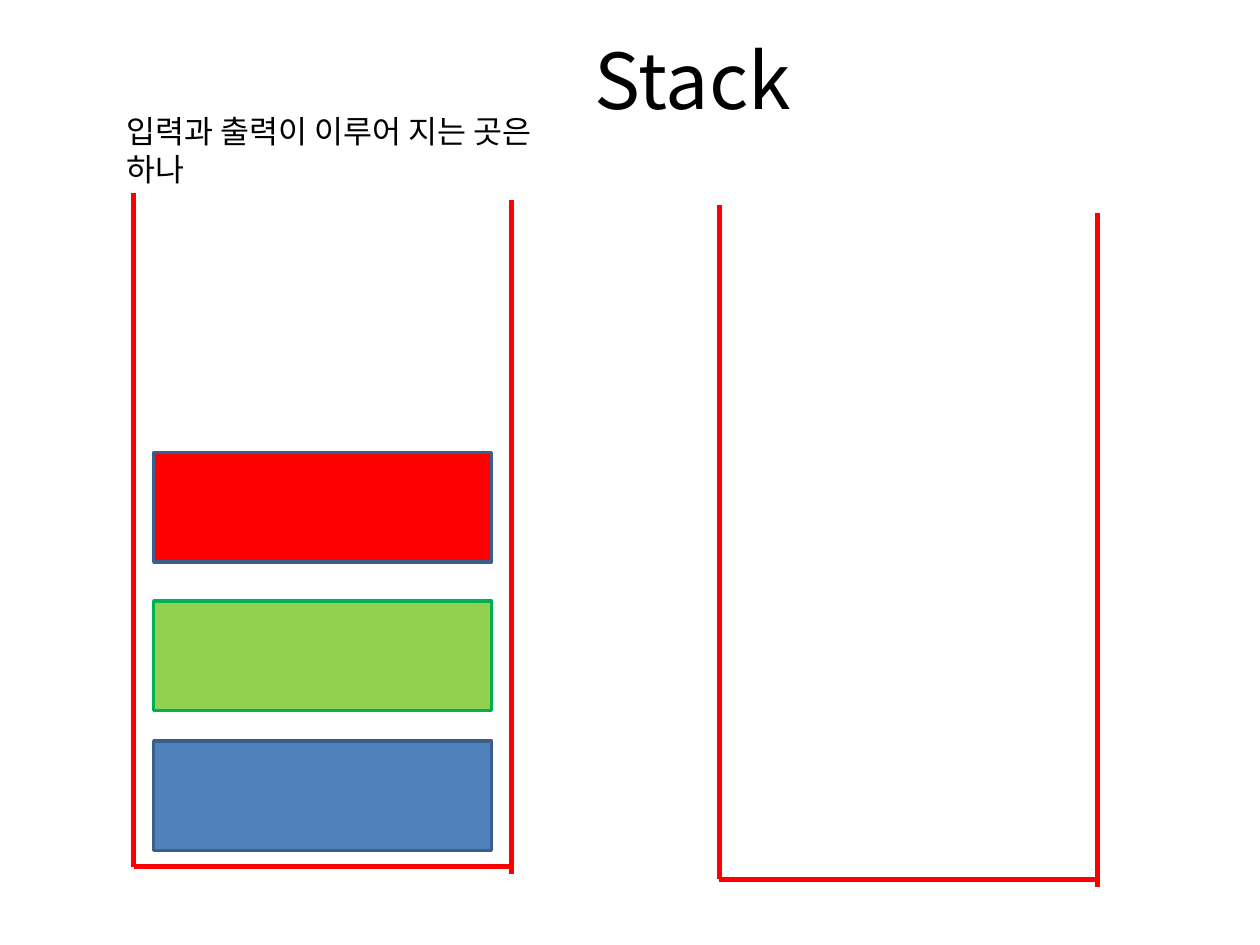
from lxml import etree
from pptx import Presentation
from pptx.dml.color import RGBColor
from pptx.enum.shapes import MSO_CONNECTOR, MSO_SHAPE
from pptx.enum.text import MSO_ANCHOR, PP_ALIGN
from pptx.oxml.ns import qn
from pptx.util import Inches, Pt

RECTANGLE = MSO_SHAPE.RECTANGLE
STRAIGHT = MSO_CONNECTOR.STRAIGHT
TOP, MIDDLE = MSO_ANCHOR.TOP, MSO_ANCHOR.MIDDLE
LEFT, CENTER = PP_ALIGN.LEFT, PP_ALIGN.CENTER

BLACK = RGBColor(0x00, 0x00, 0x00)
RED = RGBColor(0xFF, 0x00, 0x00)
BLUE = RGBColor(0x4F, 0x81, 0xBD)
DARK_BLUE = RGBColor(0x3A, 0x5F, 0x8C)
LIME = RGBColor(0x92, 0xD0, 0x50)
GREEN = RGBColor(0x00, 0xB0, 0x50)


class StackSlide:
    """Lengths are columns and rows of a 10 by 7.5 grid."""

    font_name = "Noto Sans CJK KR"
    cell = Inches(1)
    wall_width = Pt(3)
    block_border = Pt(2)

    def __init__(self, presentation):
        self.slide = presentation.slides.add_slide(presentation.slide_layouts[6])

    def grid(self, *lengths):
        return [round(length * self.cell) for length in lengths]

    def text(self, wording, box, size, align=LEFT, anchor=TOP):
        frame = self.slide.shapes.add_textbox(*self.grid(*box)).text_frame
        frame.word_wrap = True
        frame.vertical_anchor = anchor
        frame.text = wording
        paragraph = frame.paragraphs[0]
        paragraph.alignment = align
        run = paragraph.runs[0]
        run.font.size = Pt(size)
        run.font.color.rgb = BLACK
        run.font.name = self.font_name
        # Korean glyphs take the East Asian typeface
        east_asian = etree.SubElement(run.font._element, qn("a:ea"))
        east_asian.set("typeface", self.font_name)

    def line(self, x1, y1, x2, y2):
        wall = self.slide.shapes.add_connector(STRAIGHT, *self.grid(x1, y1, x2, y2))
        wall.line.color.rgb = RED
        wall.line.width = self.wall_width
        etree.SubElement(wall._element.spPr, qn("a:effectLst"))

    def container(self, left, top, width=3, height=5.35, right_drop=0.06):
        """Open-topped stack whose right wall sits slightly lower."""
        right, bottom = left + width, top + height
        self.line(left, top, left, bottom)
        self.line(left, bottom, right, bottom)
        self.line(right, top + right_drop, right, bottom + right_drop)

    def block(self, top, fill, border, left=1.22, width=2.68, height=0.87):
        block = self.slide.shapes.add_shape(
            RECTANGLE, *self.grid(left, top, width, height))
        block.shadow.inherit = False
        block.fill.solid()
        block.fill.fore_color.rgb = fill
        block.line.color.rgb = border
        block.line.width = self.block_border


def main():
    presentation = Presentation()
    presentation.slide_width, presentation.slide_height = Inches(10), Inches(7.5)
    stack = StackSlide(presentation)

    # Title
    stack.text("Stack", (1, 0, 9, 1.25), 44, CENTER, MIDDLE)

    # Filled stack, from the bottom block up
    stack.container(1.06, 1.53)
    for top, fill, border in (
        (5.88, BLUE, DARK_BLUE),
        (4.77, LIME, GREEN),
        (3.59, RED, DARK_BLUE),
    ):
        stack.block(top, fill, border)
    stack.text("입력과 출력이 이루어 지는 곳은 하나", (0.91, 0.84, 3.46, 0.71), 18)

    # Empty stack
    stack.container(5.71, 1.63)

    presentation.save("out.pptx")


if __name__ == "__main__":
    main()
